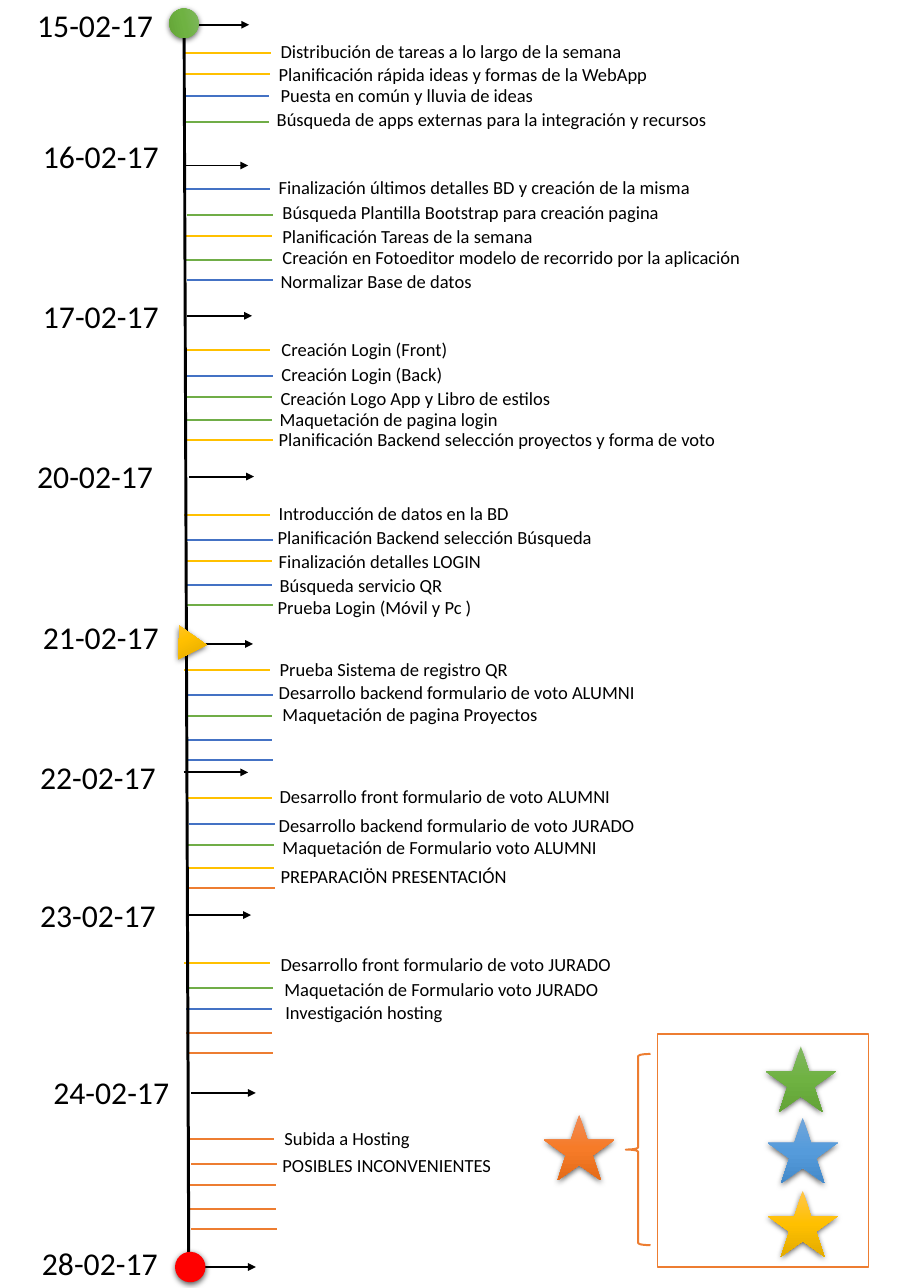
import copy

import lxml.etree
import pptx
import pptx.dml.color
import pptx.enum.shapes
import pptx.enum.text
import pptx.oxml.ns
import pptx.util

Inches = pptx.util.Inches
SHAPES = pptx.enum.shapes.MSO_SHAPE
ALIGN = pptx.enum.text.PP_ALIGN
BLACK, YELLOW, BLUE, GREEN, ORANGE = "000000", "FFC000", "4472C4", "70AD47", "ED7D31"
GREEN_SHADES = ("81B861", "6FB242", "62A336")
BLUE_SHADES = ("71A6DB", "559BDB", "448ACA")
YELLOW_SHADES = ("FFC64B", "FFC000", "E3AB00")
ORANGE_SHADES = ("F18C57", "F67B28", "E56C19")
TICK_LENGTH, ARROW_LENGTH = 0.9, 0.68
TICK_OFFSETS = ((0, 0), (0.03, 0.27), (0.02, 0.49), (0.02, 0.74), (0.03, 0.95))
FIRST_DAY_OFFSETS = ((0.02, 0), (0.01, 0.22), (0, 0.45), (0, 0.72))

DAYS = [
    dict(date="15-02-17", left=0.16, top=-0.03, arrow=(1.94, 0.29), tick=(1.93, 0.59),
         offsets=FIRST_DAY_OFFSETS, colours=(YELLOW, YELLOW, BLUE, GREEN), tasks=[
             (2.95, 0.36, "Distribución de tareas a lo largo de la semana"),
             (2.93, 0.6, "Planificación rápida ideas y formas de la WebApp"),
             (2.95, 0.82, "Puesta en común y lluvia de ideas"),
             (2.91, 1.08, "Búsqueda de apps externas para la integración y recursos")]),
    dict(date="16-02-17", left=0.22, top=1.35, arrow=(1.93, 0.39), tick=(1.94, 0.64),
         colours=(BLUE, GREEN, YELLOW, GREEN, BLUE), tasks=[
             (2.93, 0.41, "Finalización últimos detalles BD y creación de la misma"),
             (2.97, 0.67, "Búsqueda Plantilla Bootstrap para creación pagina"),
             (2.97, 0.92, "Planificación Tareas de la semana"),
             (2.97, 1.15, "Creación en Fotoeditor modelo de recorrido por la aplicación"),
             (2.95, 1.4, "Normalizar Base de datos")]),
    dict(date="17-02-17", left=0.22, top=3.03, arrow=(1.97, 0.29), tick=(1.94, 0.65),
         colours=(YELLOW, BLUE, GREEN, GREEN, YELLOW), tasks=[
             (2.96, 0.43, "Creación Login (Front)"),
             (2.96, 0.7, "Creación Login (Back)"),
             (2.95, 0.95, "Creación Logo App y Libro de estilos"),
             (2.94, 1.17, "Maquetación de pagina login"),
             (2.93, 1.38, "Planificación Backend selección proyectos y forma de voto")]),
    dict(date="20-02-17", left=0.16, top=4.71, arrow=(1.99, 0.3), tick=(1.94, 0.7),
         colours=(YELLOW, BLUE, YELLOW, BLUE, GREEN), tasks=[
             (2.93, 0.48, "Introducción de datos en la BD"),
             (2.92, 0.73, "Planificación Backend selección Búsqueda"),
             (2.93, 0.98, "Finalización detalles LOGIN"),
             (2.94, 1.23, "Búsqueda servicio QR"),
             (2.92, 1.47, "Prueba Login (Móvil y Pc )")]),
    dict(date="21-02-17", left=0.22, top=6.4, arrow=(1.98, 0.37), tick=(1.94, 0.64),
         colours=(YELLOW, BLUE, GREEN, BLUE, BLUE), tasks=[
             (2.94, 0.43, "Prueba Sistema de registro QR"),
             (2.93, 0.67, "Desarrollo backend formulario de voto ALUMNI"),
             (2.97, 0.9, "Maquetación de pagina Proyectos")]),
    dict(date="22-02-17", left=0.19, top=7.88, arrow=(1.93, 0.24), tick=(1.96, 0.51),
         colours=(YELLOW, BLUE, GREEN, YELLOW, ORANGE), tasks=[
             (2.94, 0.28, "Desarrollo front formulario de voto ALUMNI"),
             (2.93, 0.59, "Desarrollo backend formulario de voto JURADO"),
             (2.97, 0.82, "Maquetación de Formulario voto ALUMNI"),
             (2.95, 1.12, "PREPARACIÖN PRESENTACIÓN")]),
    dict(date="23-02-17", left=0.19, top=9.33, arrow=(1.96, 0.29), tick=(1.94, 0.79),
         colours=(YELLOW, GREEN, BLUE, ORANGE, ORANGE), tasks=[
             (2.95, 0.6, "Desarrollo front formulario de voto JURADO"),
             (2.99, 0.86, "Maquetación de Formulario voto JURADO"),
             (3, 1.1, "Investigación hosting")]),
    dict(date="24-02-17", left=0.33, top=11.19, arrow=(2.01, 0.3), tick=(1.98, 0.78),
         colours=(ORANGE,) * 5, tasks=[
             (2.99, 0.57, "Subida a Hosting"),
             (2.97, 0.85, "POSIBLES INCONVENIENTES")]),
    dict(date="28-02-17", left=0.21, top=12.98, arrow=(2.01, 0.34)),
]


def colour(value):
    """Turn a hex string into a colour."""
    return pptx.dml.color.RGBColor.from_string(value)


def add_text(slide, text, left, top, width, height, size=14, align=ALIGN.LEFT):
    """Add one line of text in a box."""
    frame = slide.shapes.add_textbox(Inches(left), Inches(top), Inches(width), Inches(height)).text_frame
    frame.word_wrap = True
    frame.margin_left = frame.margin_right = 0
    frame.margin_top = frame.margin_bottom = Inches(0.09)
    paragraph = frame.paragraphs[0]
    paragraph.alignment = align
    run = paragraph.add_run()
    run.text = text
    run.font.name = "Calibri"
    run.font.size = pptx.util.Pt(size)
    run.font.color.rgb = colour(BLACK)


def add_line(slide, start, end, line=BLACK, arrow=False):
    """Add a straight line, with an arrowhead at its end if asked."""
    connector = slide.shapes.add_connector(
        pptx.enum.shapes.MSO_CONNECTOR.STRAIGHT, *(Inches(value) for value in (*start, *end)))
    connector.line.color.rgb = colour(line)
    connector.line.width = pptx.util.Pt(1.5)
    if arrow:
        lxml.etree.SubElement(connector.line._get_or_add_ln(), pptx.oxml.ns.qn("a:tailEnd"), type="triangle")
    lxml.etree.SubElement(connector._element.spPr, pptx.oxml.ns.qn("a:effectLst"))


def add_shape(slide, kind, left, top, width, height, fill=None, line=None, weight=1.5, rotation=0):
    """Add a preset shape with no shadow and an optional plain fill and line."""
    shape = slide.shapes.add_shape(kind, Inches(left), Inches(top), Inches(width), Inches(height))
    shape.shadow.inherit = False
    shape.rotation = rotation
    if fill:
        shape.fill.solid()
        shape.fill.fore_color.rgb = colour(fill)
    else:
        shape.fill.background()
    if line:
        shape.line.color.rgb = colour(line)
        shape.line.width = pptx.util.Pt(weight)
    else:
        shape.line.fill.background()
    return shape


def add_marker(slide, kind, left, top, width, height, shades, rotation=0):
    """Add a shape with a soft shadow and one flat shade or three graded ones."""
    shape = add_shape(slide, kind, left, top, width, height, fill=shades[0], rotation=rotation)
    properties = shape._element.spPr
    if len(shades) == 3:
        shape.fill.gradient()
        shape.fill.gradient_angle = 270
        stop_list = properties.find(".//" + pptx.oxml.ns.qn("a:gsLst"))
        stop_list.insert(1, copy.deepcopy(stop_list[0]))
        for stop, shade, position in zip(shape.fill.gradient_stops, shades, (0, 0.5, 1)):
            stop.color.rgb = colour(shade)
            stop.position = position
    effects = properties.find(pptx.oxml.ns.qn("a:effectLst"))
    shadow = lxml.etree.SubElement(effects, pptx.oxml.ns.qn("a:outerShdw"), blurRad="57150",
                                   dist="19050", dir="5400000", algn="ctr", rotWithShape="0")
    black = lxml.etree.SubElement(shadow, pptx.oxml.ns.qn("a:srgbClr"), val=BLACK)
    lxml.etree.SubElement(black, pptx.oxml.ns.qn("a:alpha"), val="63000")


def add_day(slide, date, left, top, arrow, tick=(0, 0), offsets=TICK_OFFSETS, colours=(), tasks=()):
    """Place a date, its arrow, ticks and tasks below the given top."""
    add_text(slide, date, left, top, 1.68, 0.59, size=24, align=ALIGN.CENTER)
    arrow_left, arrow_top = arrow[0], top + arrow[1]
    add_line(slide, (arrow_left, arrow_top), (arrow_left + ARROW_LENGTH, arrow_top), arrow=True)
    for (across, down), tick_colour in zip(offsets, colours):
        tick_left, tick_top = tick[0] + across, top + tick[1] + down
        add_line(slide, (tick_left, tick_top), (tick_left + TICK_LENGTH, tick_top), tick_colour)
    for task_left, task_offset, task in tasks:
        add_text(slide, task, task_left, top + task_offset, 6, 0.42)


def add_axis(slide, left, top):
    """Place the vertical axis and its three markers."""
    add_line(slide, (left, top), (left + 0.05, top + 13.34))
    add_line(slide, (left + 0.01, top + 0.1), (left + 0.06, top + 13.08))
    add_marker(slide, SHAPES.OVAL, left - 0.15, top - 0.01, 0.31, 0.31, GREEN_SHADES, 77.9)
    add_marker(slide, SHAPES.ISOSCELES_TRIANGLE, left - 0.14, top + 6.46, 0.33, 0.31, YELLOW_SHADES, 333.1)
    add_marker(slide, SHAPES.OVAL, left - 0.09, top + 13.06, 0.32, 0.32, ("FF0000",), 77.9)


def add_star_group(slide, left, top):
    """Place the orange star, its brace and the frame of three stars."""
    add_shape(slide, SHAPES.RECTANGLE, left + 1.19, top, 2.22, 2.45, fill="FFFFFF", line=ORANGE, weight=1)
    add_shape(slide, SHAPES.LEFT_BRACE, left + 0.86, top + 0.21, 0.26, 2.01, line=ORANGE)
    stars = ((0, 0.85, ORANGE_SHADES), (2.33, 0.13, GREEN_SHADES),
             (2.35, 0.88, BLUE_SHADES), (2.35, 1.65, YELLOW_SHADES))
    for across, down, shades in stars:
        add_marker(slide, SHAPES.STAR_5_POINT, left + across, top + down, 0.74, 0.69, shades)


def main():
    """Build the timeline slide and save it."""
    presentation = pptx.Presentation()
    presentation.slide_width = Inches(9.61)
    presentation.slide_height = Inches(13.54)
    slide = presentation.slides.add_slide(presentation.slide_layouts[6])
    for day in DAYS:
        add_day(slide, **day)
    add_axis(slide, 1.93, 0.1)
    add_star_group(slide, 5.72, 10.87)
    presentation.save("out.pptx")


if __name__ == "__main__":
    main()
